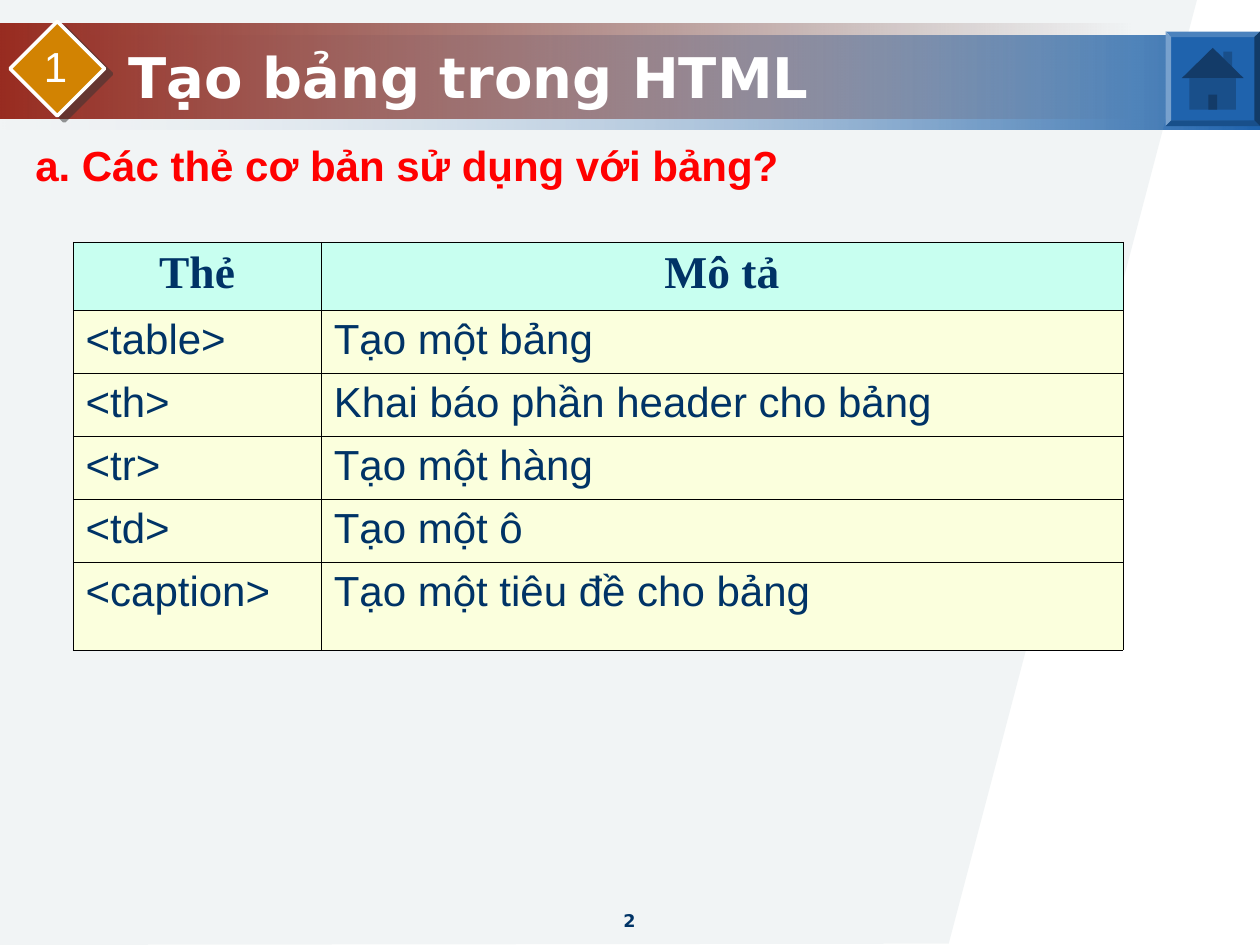
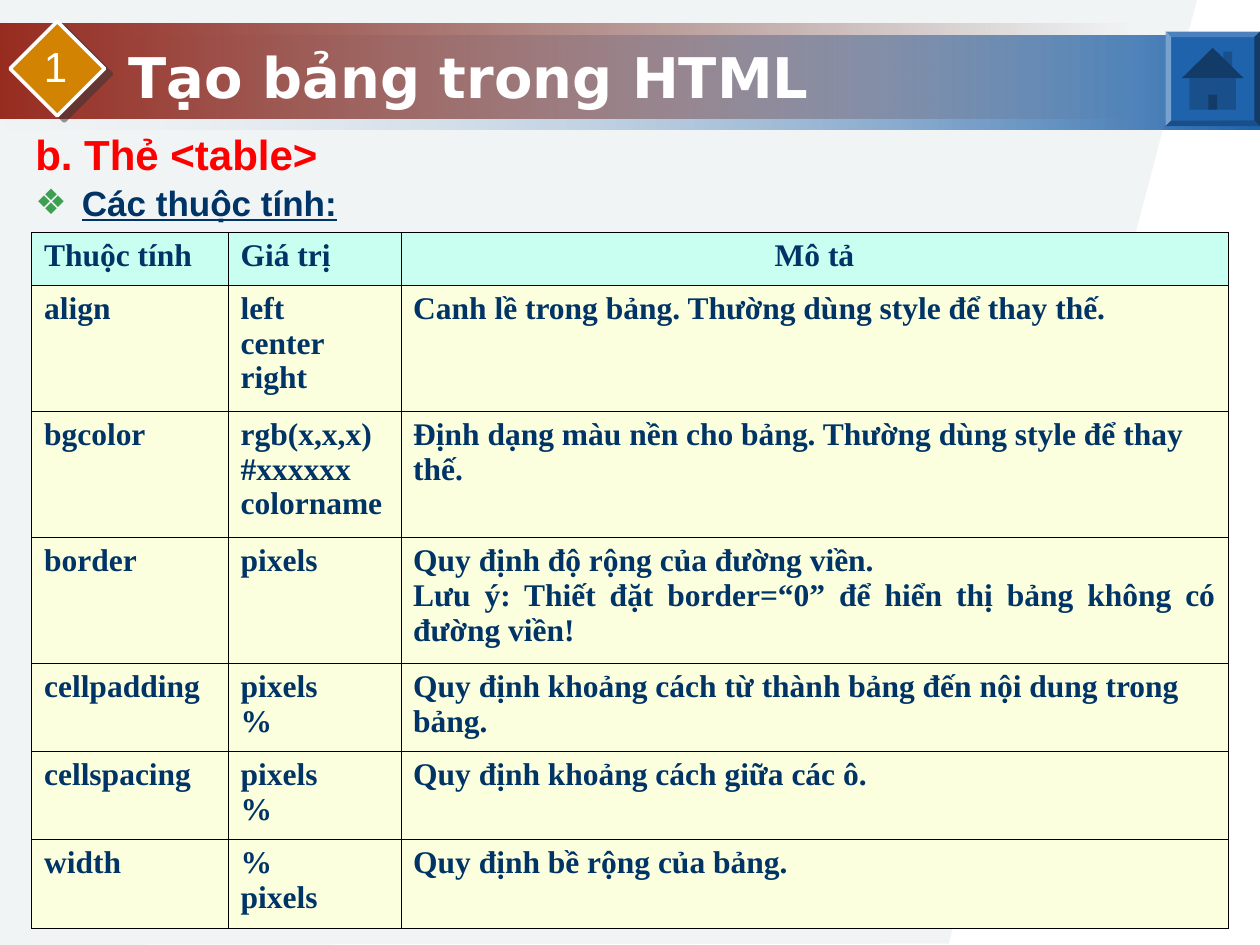
from dataclasses import dataclass

from lxml import etree
from pptx import Presentation
from pptx.dml.color import RGBColor
from pptx.enum.shapes import MSO_SHAPE
from pptx.enum.text import MSO_ANCHOR, MSO_AUTO_SIZE, PP_ALIGN
from pptx.oxml import parse_xml
from pptx.oxml.ns import nsdecls, qn
from pptx.util import Inches, Pt

TITLE = "Tạo bảng trong HTML"
SECTION = "1"
NOTE = "Lưu ý: Thiết đặt border=“0” để hiển thị bảng không có đường viền!"

LESSONS = [
    {
        "number": "2",
        "question": "a. Các thẻ cơ bản sử dụng với bảng?",
        "points": [],
        "body_top": 1.09,
        "line_spacing": 0.95,
        "grid_at": (0.58, 1.92),
        "columns": (1.97, 6.36),
        "row_heights": (0.54, 0.5, 0.5, 0.5, 0.5, 0.7),
        "centred_headings": {"Thẻ", "Mô tả"},
        "heading_style": "tag_heading",
        "cell_style": "tag_cell",
        "rows": [
            ("Thẻ", "Mô tả"),
            ("<table>", "Tạo một bảng"),
            ("<th>", "Khai báo phần header cho bảng"),
            ("<tr>", "Tạo một hàng"),
            ("<td>", "Tạo một ô"),
            ("<caption>", "Tạo một tiêu đề cho bảng"),
        ],
    },
    {
        "number": "4",
        "question": "b. Thẻ <table>",
        "points": ["Các thuộc tính:"],
        "body_top": 0.97,
        "line_spacing": 1.0,
        "grid_at": (0.25, 1.84),
        "columns": (1.56, 1.37, 6.57),
        "row_heights": (0.42, 1, 1, 1, 0.7, 0.7, 0.7),
        "centred_headings": {"Mô tả"},
        "heading_style": "attribute",
        "cell_style": "attribute",
        "rows": [
            ("Thuộc tính", "Giá trị", "Mô tả"),
            ("align", "left\ncenter\nright",
             "Canh lề trong bảng. Thường dùng style để thay thế."),
            ("bgcolor", "rgb(x,x,x)\n#xxxxxx\ncolorname",
             "Định dạng màu nền cho bảng. Thường dùng style để thay\nthế."),
            ("border", "pixels", "Quy định độ rộng của đường viền.\n" + NOTE),
            ("cellpadding", "pixels\n%",
             "Quy định khoảng cách từ thành bảng đến nội dung trong\nbảng."),
            ("cellspacing", "pixels\n%", "Quy định khoảng cách giữa các ô."),
            ("width", "%\npixels", "Quy định bề rộng của bảng."),
        ],
    },
]


@dataclass(frozen=True)
class Theme:
    navy: str = "003366"
    white: str = "FFFFFF"
    red: str = "FF0000"
    blue: str = "1F63AD"
    pale_blue: str = "E3EBF5"
    brick: str = "99190B"
    dark_brick: str = "470C05"
    mist: str = "97ADB5"
    amber: str = "D28302"
    shade: str = "333333"
    green: str = "3CA051"
    mint: str = "C8FFF0"
    cream: str = "FBFFDD"
    black: str = "000000"
    roof: str = "133B68"
    wall: str = "194F8A"

    def style(self, part):
        face, size, bold, color, extra = {
            "title": ("DejaVu Sans", 32, True, self.white, {}),
            "number": ("DejaVu Sans", 10, True, self.navy, {}),
            "section": ("Arial", 24, False, self.white, {}),
            "question": ("Arial", 24, True, self.red, {}),
            "point": ("Arial", 20, True, self.navy, {"underline": True}),
            "tag_heading": ("Times New Roman", 26, True, self.navy, {}),
            "tag_cell": ("Arial", 24, False, self.navy, {}),
            "attribute": ("Times New Roman", 18, True, self.navy, {}),
        }[part]
        return {"name": face, "size": Pt(size), "bold": bold, **extra}, color


THEME = Theme()
BORDER_WIDTH = Pt(0.06)


def rgb(color):
    return RGBColor.from_string(color)


def box(left, top, width, height):
    return [Inches(value) for value in (left, top, width, height)]


def set_all(target, values):
    for key, value in values.items():
        setattr(target, key, value)


def write(paragraph, text, part, **layout):
    run = paragraph.add_run()
    run.text = text
    values, color = THEME.style(part)
    set_all(run.font, values)
    run.font.color.rgb = rgb(color)
    set_all(paragraph, layout)


def place(area, at):
    set_all(area, dict(zip(("left", "top", "width", "height"), box(*at))))


def set_alpha(shape, color, percent):
    for tint in shape.element.iter(qn("a:srgbClr")):
        if tint.get("val") == color:
            etree.SubElement(tint, qn("a:alpha")).set("val", str(percent * 1000))


def add_solid(slide, preset, at, color):
    shape = slide.shapes.add_shape(preset, *box(*at))
    shape.shadow.inherit = False
    shape.fill.solid()
    shape.fill.fore_color.rgb = rgb(color)
    shape.line.fill.background()
    return shape


def add_band(slide, at, colors, clear):
    band = add_solid(slide, MSO_SHAPE.RECTANGLE, at, THEME.white)
    band.fill.gradient()
    band.fill.gradient_angle = 0
    for stop, color in zip(band.fill.gradient_stops, colors):
        stop.color.rgb = rgb(color)
    set_alpha(band, clear, 0)
    return band


def add_backdrop(slide):
    corners = [(Inches(x), Inches(y)) for x, y in ((9.5, 0), (7.53, 7.49), (0, 7.5))]
    outline = slide.shapes.build_freeform(0, 0)
    outline.add_line_segments(corners, close=True)
    backdrop = outline.convert_to_shape()
    backdrop.shadow.inherit = False
    backdrop.fill.solid()
    backdrop.fill.fore_color.rgb = rgb(THEME.mist)
    backdrop.line.fill.background()
    set_alpha(backdrop, THEME.mist, 13)
    return backdrop


def decorate_layout(layout, slide):
    parts = [
        add_band(slide, (0, 0.28, 10, 0.75), (THEME.pale_blue, THEME.blue), THEME.pale_blue),
        add_band(slide, (0, 0.19, 9, 0.75), (THEME.brick, THEME.dark_brick), THEME.dark_brick),
        add_backdrop(slide),
    ]
    for depth, part in enumerate(parts, start=2):
        layout.shapes.element.insert(depth, part.element)


def add_label(slide, at, text, part, wrap):
    label = slide.shapes.add_textbox(*box(*at))
    label.text_frame.word_wrap = wrap
    if not wrap:
        label.text_frame.auto_size = MSO_AUTO_SIZE.SHAPE_TO_FIT_TEXT
    write(label.text_frame.paragraphs[0], text, part, alignment=PP_ALIGN.CENTER)


def add_section_badge(slide):
    badge = add_solid(slide, MSO_SHAPE.DIAMOND, (0.08, 0.17, 0.75, 0.75), THEME.amber)
    badge.line.color.rgb = rgb(THEME.white)
    badge.line.width = Pt(2)
    effects = badge.element.spPr.find(qn("a:effectLst"))
    effects.append(parse_xml(
        f'<a:outerShdw {nsdecls("a")} dist="{Pt(5)}" dir="{37 * 60000}" algn="ctr" rotWithShape="0">'
        f'<a:srgbClr val="{THEME.shade}"><a:alpha val="50000"/></a:srgbClr></a:outerShdw>'))
    add_label(slide, (0.25, 0.27, 0.38, 0.5), SECTION, "section", False)


def add_home_button(slide):
    button = add_solid(slide, MSO_SHAPE.BEVEL, (9.25, 0.25, 0.75, 0.75), THEME.blue)
    button.adjustments[0] = 0.06
    for preset, at, color in (
        (MSO_SHAPE.RECTANGLE, (9.71, 0.41, 0.07, 0.13), THEME.wall),
        (MSO_SHAPE.ISOSCELES_TRIANGLE, (9.38, 0.38, 0.49, 0.24), THEME.roof),
        (MSO_SHAPE.RECTANGLE, (9.44, 0.62, 0.37, 0.25), THEME.wall),
        (MSO_SHAPE.RECTANGLE, (9.59, 0.75, 0.07, 0.12), THEME.roof),
    ):
        add_solid(slide, preset, at, color)


def set_bullet(paragraph, char=None):
    props = paragraph._p.get_or_add_pPr()
    props.set("marL", str(Inches(0.44)))
    props.set("indent", str(Inches(-0.37)))
    if char is None:
        etree.SubElement(props, qn("a:buNone"))
        return
    tint = etree.SubElement(props, qn("a:buClr"))
    etree.SubElement(tint, qn("a:srgbClr")).set("val", THEME.green)
    etree.SubElement(props, qn("a:buFont")).set("typeface", "Arial")
    etree.SubElement(props, qn("a:buChar")).set("char", char)


def fill_placeholders(slide, lesson):
    title, body = slide.placeholders
    place(title, (0.92, 0.29, 9.08, 0.62))
    title.text_frame.vertical_anchor = MSO_ANCHOR.MIDDLE
    write(title.text_frame.paragraphs[0], TITLE, "title", alignment=PP_ALIGN.LEFT)

    place(body, (0.11, lesson["body_top"], 9.89, 6.17))
    question = body.text_frame.paragraphs[0]
    set_bullet(question)
    write(question, lesson["question"], "question",
          space_before=Pt(0), line_spacing=lesson["line_spacing"])
    for text in lesson["points"]:
        point = body.text_frame.add_paragraph()
        set_bullet(point, "❖")
        write(point, text, "point", space_before=Pt(1.2))


def set_borders(cell):
    props = cell._tc.get_or_add_tcPr()
    for side in ("lnL", "lnR", "lnT", "lnB"):
        props.append(parse_xml(
            f'<a:{side} {nsdecls("a")} w="{BORDER_WIDTH}"><a:solidFill>'
            f'<a:srgbClr val="{THEME.black}"/></a:solidFill></a:{side}>'))


def fill_cell(cell, text, is_heading, lesson):
    set_borders(cell)
    cell.fill.solid()
    cell.fill.fore_color.rgb = rgb(THEME.mint if is_heading else THEME.cream)
    for index, line in enumerate(text.split("\n")):
        frame = cell.text_frame
        paragraph = frame.add_paragraph() if index else frame.paragraphs[0]
        alignment = PP_ALIGN.LEFT
        if is_heading and line in lesson["centred_headings"]:
            alignment = PP_ALIGN.CENTER
        elif line == NOTE:
            alignment = PP_ALIGN.JUSTIFY
        part = lesson["heading_style" if is_heading else "cell_style"]
        write(paragraph, line, part, alignment=alignment)


def add_grid(slide, lesson):
    widths, heights = lesson["columns"], lesson["row_heights"]
    at = (*lesson["grid_at"], sum(widths), sum(heights))
    grid = slide.shapes.add_table(len(heights), len(widths), *box(*at)).table
    set_all(grid, {"first_row": False, "horz_banding": False})
    for column, width in zip(grid.columns, widths):
        column.width = Inches(width)
    for index, (row, height) in enumerate(zip(grid.rows, heights)):
        row.height = Inches(height)
        for cell, text in zip(row.cells, lesson["rows"][index]):
            fill_cell(cell, text, index == 0, lesson)


def main():
    deck = Presentation()
    set_all(deck, {"slide_width": Inches(10), "slide_height": Inches(7.5)})
    layout = deck.slide_layouts[1]
    for index, lesson in enumerate(LESSONS):
        slide = deck.slides.add_slide(layout)
        if index == 0:
            decorate_layout(layout, slide)
        fill_placeholders(slide, lesson)
        add_label(slide, (3.83, 7.17, 2.33, 0.28), lesson["number"], "number", True)
        add_section_badge(slide)
        add_home_button(slide)
        add_grid(slide, lesson)
    deck.save("out.pptx")


if __name__ == "__main__":
    main()
